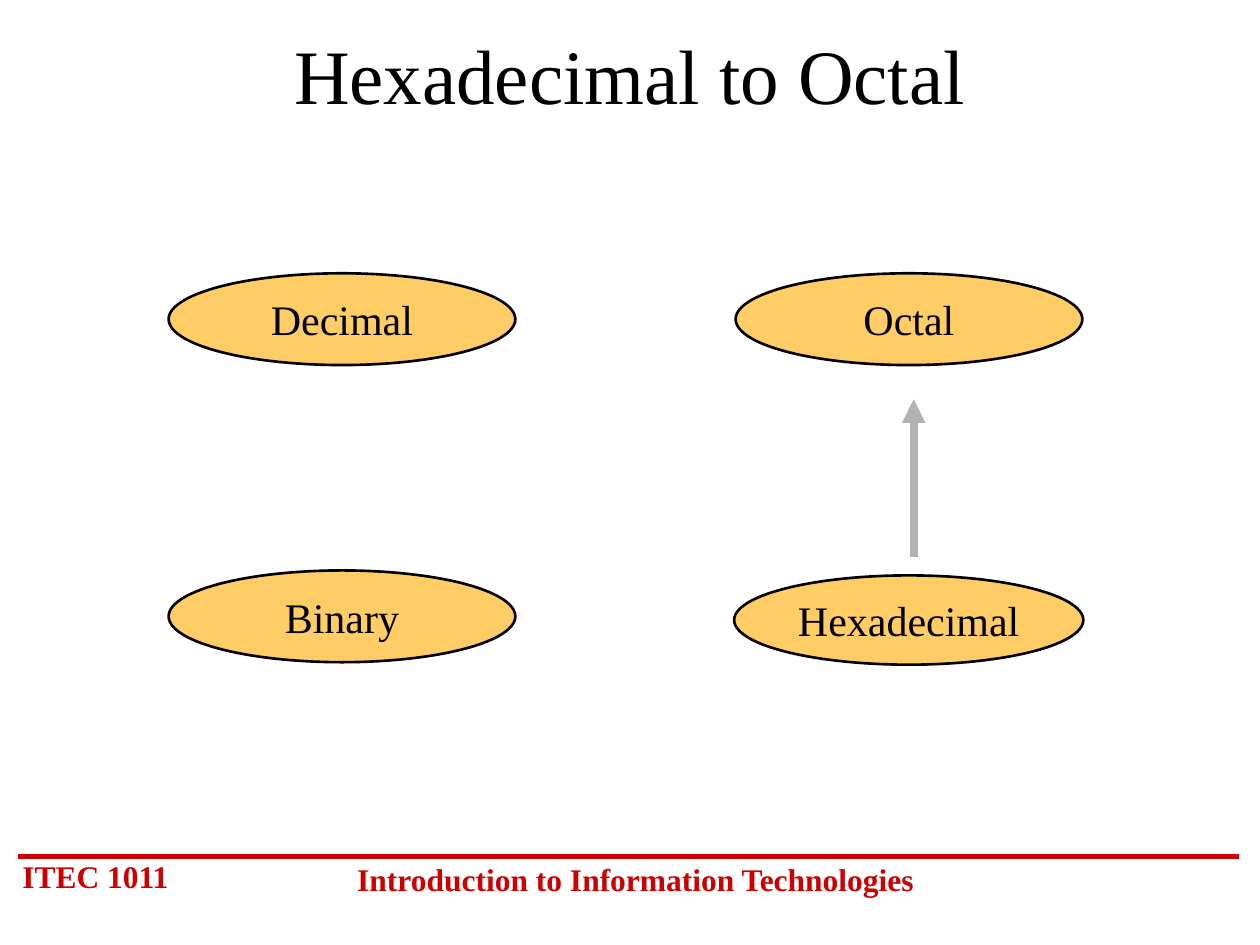
from lxml import etree
from pptx import Presentation
from pptx.dml.color import RGBColor
from pptx.enum.shapes import MSO_CONNECTOR, MSO_SHAPE
from pptx.enum.text import MSO_ANCHOR, PP_ALIGN
from pptx.oxml.ns import qn
from pptx.util import Cm, Pt

OVAL = MSO_SHAPE.OVAL
LINE = MSO_CONNECTOR.STRAIGHT
MIDDLE = MSO_ANCHOR.MIDDLE
TOP = MSO_ANCHOR.TOP
LEFT = PP_ALIGN.LEFT
CENTER = PP_ALIGN.CENTER

FONT = "Times New Roman"
BLACK = "000000"
RED = "CC0000"
GOLD = "FFCC66"
GRAY = "B2B2B2"


def color(code):
    return RGBColor.from_string(code)


def write(frame, text, size, code, align=CENTER, anchor=MIDDLE, bold=False):
    frame.text = text
    frame.vertical_anchor = anchor
    par = frame.paragraphs[0]
    par.alignment = align
    font = par.runs[0].font
    font.name = FONT
    font.size = Pt(size)
    font.bold = bold
    font.color.rgb = color(code)


def add_text(slide, box, text, size, code, **style):
    frame = slide.shapes.add_textbox(*map(Cm, box)).text_frame
    frame.word_wrap = True
    write(frame, text, size, code, **style)


def add_line(slide, ends, code, width, arrow=False):
    line = slide.shapes.add_connector(LINE, *map(Cm, ends))
    line.line.color.rgb = color(code)
    line.line.width = Pt(width)
    if arrow:
        head = etree.SubElement(line.line._get_or_add_ln(), qn("a:headEnd"))
        head.set("type", "triangle")
    etree.SubElement(line._element.spPr, qn("a:effectLst"))


def add_oval(slide, box, text):
    oval = slide.shapes.add_shape(OVAL, *map(Cm, box))
    oval.shadow.inherit = False
    oval.fill.solid()
    oval.fill.fore_color.rgb = color(GOLD)
    oval.line.color.rgb = color(BLACK)
    oval.line.width = Pt(1.5)
    write(oval.text_frame, text, 24, BLACK)
    oval.text_frame.word_wrap = False


def add_footer(slide, left, top, width):
    add_line(slide, (left + 0.16, top + 0.12, left + width, top + 0.12), RED, 3)
    style = {"anchor": TOP, "bold": True}
    add_text(slide, (left, top, 3.81, 1.02), "ITEC 1011", 18, RED,
             align=LEFT, **style)
    add_text(slide, (left + 6.58, top + 0.07, 12.07, 1.02),
             "Introduction to Information Technologies", 18, RED, **style)


def add_bases(slide, left, top, width, height):
    wide, high = 6.99, 1.85
    right, low = left + width - wide, top + height - high
    add_oval(slide, (right - 0.03, low + 0.1, 7.04, 1.8), "Hexadecimal")
    for x, y, name in ((left, top, "Decimal"), (right, top, "Octal"),
                       (left, low, "Binary")):
        add_oval(slide, (x, y, wide, high), name)
    stem = left + 15.02
    add_line(slide, (stem, top + 2.54, stem, top + 5.72), GRAY, 4.5, arrow=True)


def main():
    deck = Presentation()
    deck.slide_width, deck.slide_height = Cm(25.4), Cm(19.05)
    slide = deck.slides.add_slide(deck.slide_layouts[6])
    add_footer(slide, 0.2, 17.15, 24.77)
    add_text(slide, (1.9, 0.43, 21.6, 2.11), "Hexadecimal to Octal", 44, BLACK)
    add_bases(slide, 3.4, 5.51, 18.42, 7.84)
    deck.save("out.pptx")


if __name__ == "__main__":
    main()
